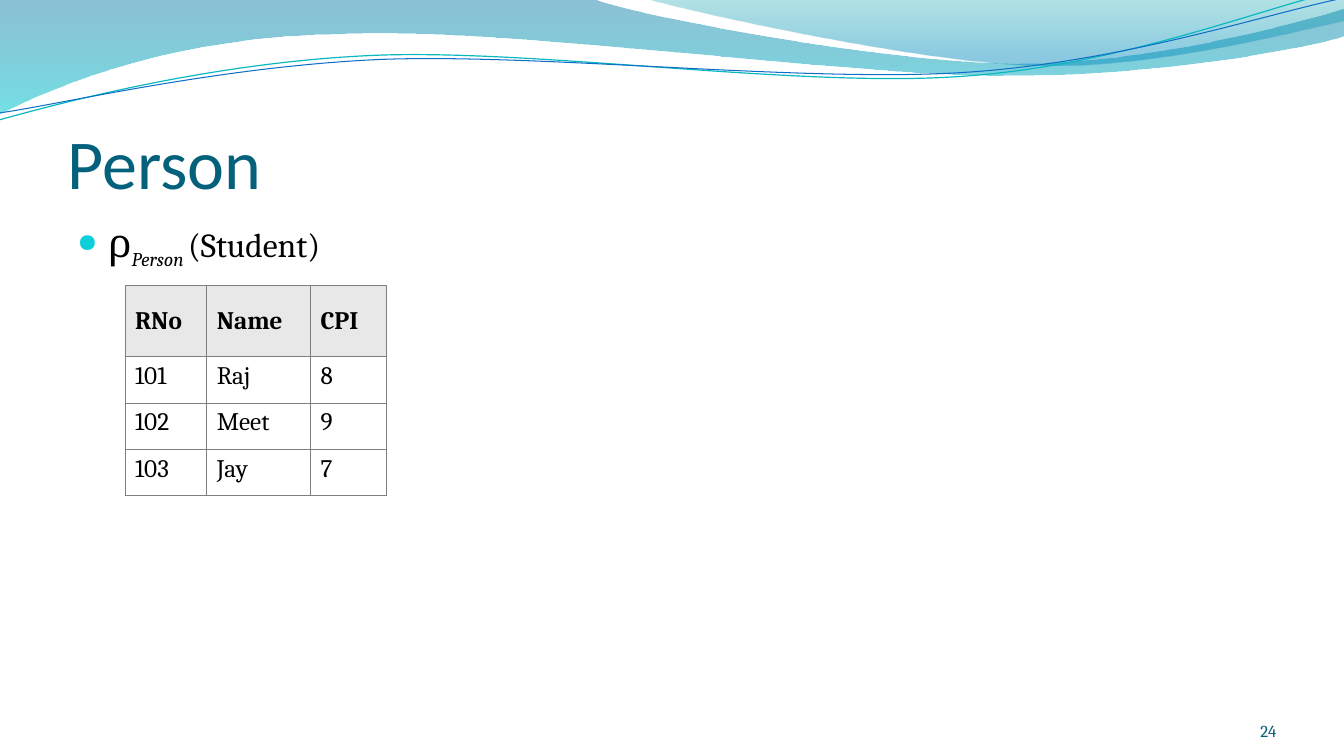
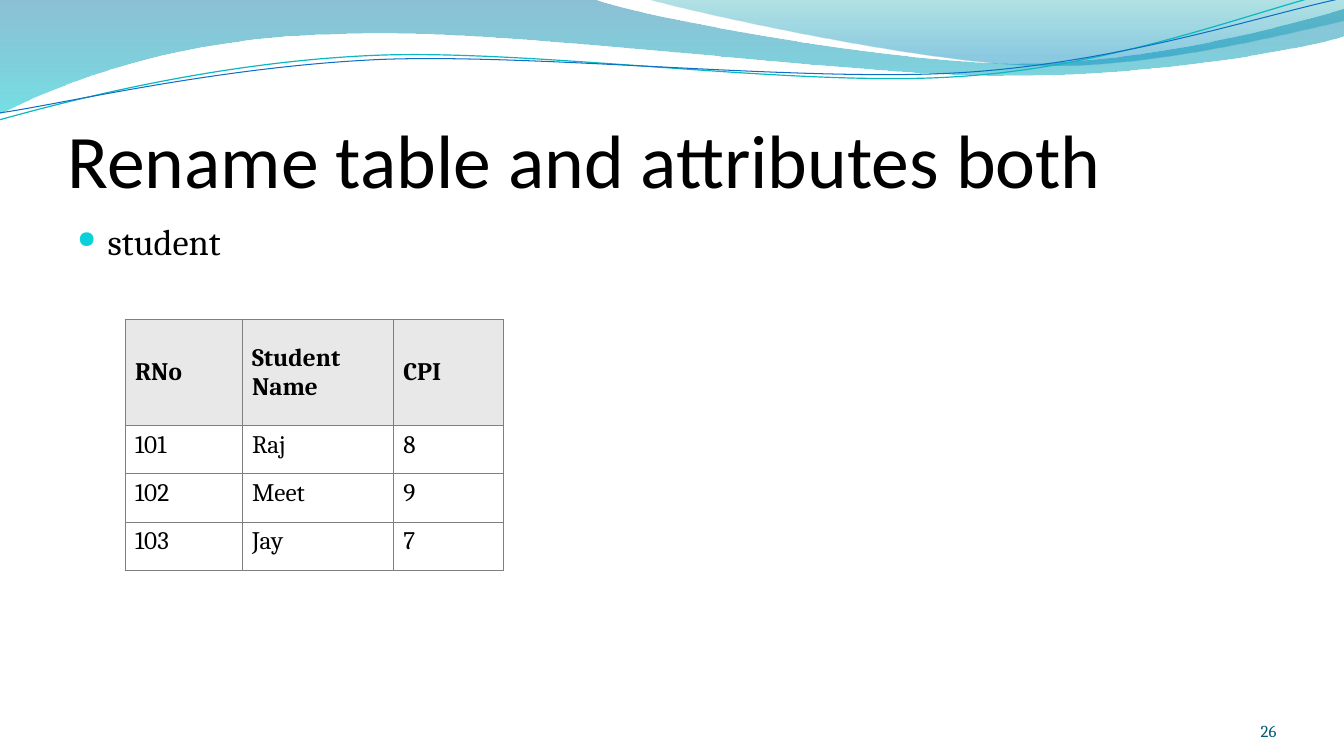
import pptx
import pptx.util
import pptx.dml.color
import pptx.enum.text
import pptx.oxml
import pptx.oxml.ns
from lxml import etree

PX = 9144
HEAD_FONT, BODY_FONT = "Calibri", "Cambria"
ANCHOR = pptx.enum.text.MSO_ANCHOR
ALIGN = pptx.enum.text.PP_ALIGN

COLORS = {
    "text": "000000",
    "title": "04617B",
    "number": "045D75",
    "bullet": "0BD0D9",
    "header": "E8E8E8",
    "cell": "FFFFFF",
    "border": "7F7F7F",
    "teal_line": "0AB8BF",
    "blue_line": "0F6FC6",
    "band_blue": "0074A1",
    "band_cyan": "00C6CF",
    "crest_teal": "00A1A9",
    "crest_blue": "008BBF",
}

BANDS = [
    ((-1, 0),
     [(587, -1), (634, 17, 884, 63, 1011, 63), (1137, 63, 1277, 26, 1333, 9),
      (1334, 36), (1311, 44, 1159, 76, 994, 75), (829, 75, 509, 28, 343, 34),
      (172, 36, 61, 83, -1, 113), (-1, 0)],
     [(0, "band_blue", 45), (1, "band_cyan", 55)]),
    ((639, -1),
     [(679, 11, 909, 62, 1025, 65), (1140, 69, 1282, 32, 1333, 21),
      (1333, 0), (639, -1)],
     [(0, "crest_teal", 30), (0.8, "crest_blue", 45)]),
]

WAVES = [
    ((-1, 119),
     [(64, 101, 211, 62, 369, 55), (527, 48, 789, 87, 950, 76),
      (1110, 66, 1251, 8, 1331, -10)],
     "teal_line", 0.85),
    ((0, 112),
     [(63, 103, 218, 66, 378, 59), (537, 53, 796, 82, 955, 72),
      (1114, 62, 1255, 14, 1333, -2)],
     "blue_line", 0.75),
]

STUDENTS = [("101", "Raj", "8"), ("102", "Meet", "9"), ("103", "Jay", "7")]


def px(n):
    return pptx.util.Emu(round(n * PX))


def rgb(name):
    return pptx.dml.color.RGBColor.from_string(COLORS[name])


def sub(parent, tag, **attrs):
    return etree.SubElement(parent, pptx.oxml.ns.qn(tag), attrs)


def bend_segments(sp, segments):
    lines = iter(sp._element.xpath(".//a:path/a:lnTo"))
    for seg in segments:
        first = next(lines)
        if len(seg) == 6:
            first.tag = pptx.oxml.ns.qn("a:cubicBezTo")
            for _ in range(2):
                line = next(lines)
                first.append(line[0])
                line.getparent().remove(line)


def add_outline(s, start, segments, close):
    points = [(seg[i], seg[i + 1]) for seg in segments for i in range(0, len(seg), 2)]
    builder = s.shapes.build_freeform(*start, scale=float(PX))
    builder.add_line_segments(points, close=close)
    sp = builder.convert_to_shape()
    sp.shadow.inherit = False
    bend_segments(sp, segments)
    return sp


def add_band(s, start, segments, stops):
    sp = add_outline(s, start, segments, True)
    sp.line.fill.background()
    sp.fill.gradient()
    sp.fill.gradient_angle = 270
    for stop, (position, color, _) in zip(sp.fill.gradient_stops, stops):
        stop.position = position
        stop.color.rgb = rgb(color)
    for el, (_, _, alpha) in zip(sp._element.xpath(".//a:gs/a:srgbClr"), stops):
        sub(el, "a:alpha", val=str(alpha * 1000))
    return sp


def add_wave(s, start, segments, color, width):
    sp = add_outline(s, start, segments, False)
    sp.fill.background()
    sp.line.color.rgb = rgb(color)
    sp.line.width = pptx.util.Pt(width)
    return sp


def decorate_layout(s):
    shapes = [add_band(s, *band) for band in BANDS]
    shapes += [add_wave(s, *wave) for wave in WAVES]
    for sp in shapes:
        s.slide_layout.shapes._spTree.append(sp._element)


def add_run(p, text, size, font=BODY_FONT, color="text", bold=False, italic=False, base=0):
    r = p.add_run()
    r.text = text
    r.font.size = pptx.util.Pt(size)
    r.font.name = font
    r.font.color.rgb = rgb(color)
    r.font.bold = bold
    r.font.italic = italic
    if base:
        r.font._element.set("baseline", str(base * 1000))


def add_text(s, box, margins=(0, 0, 0, 0), anchor=ANCHOR.BOTTOM):
    tf = s.shapes.add_textbox(*map(px, box)).text_frame
    tf.word_wrap = True
    tf.vertical_anchor = anchor
    tf.margin_left, tf.margin_top, tf.margin_right, tf.margin_bottom = map(px, margins)
    return tf.paragraphs[0]


def add_title(s, text, size, color):
    p = add_text(s, (67, 77, 1200, 125), (0, 5, 0, 0))
    add_run(p, text, size, HEAD_FONT, color)


def add_bullet(s, runs):
    p = add_text(s, (67, 212, 1200, 480), (10, 5, 10, 5), ANCHOR.TOP)
    pPr = p._p.get_or_add_pPr()
    pPr.set("marL", str(px(30)))
    pPr.set("indent", str(px(-30)))
    sub(sub(pPr, "a:buClr"), "a:srgbClr", val=COLORS["bullet"])
    sub(pPr, "a:buSzPct", val="65000")
    sub(pPr, "a:buChar", char="●")
    for text, size, style in runs:
        add_run(p, text, size, **style)


def add_number(s, number):
    p = add_text(s, (1155, 695, 111, 40))
    p.alignment = ALIGN.RIGHT
    add_run(p, number, 12, color="number")


def set_borders(cell):
    tcPr = cell._tc.get_or_add_tcPr()
    for i, side in enumerate(("a:lnL", "a:lnR", "a:lnT", "a:lnB")):
        ln = etree.Element(pptx.oxml.ns.qn(side), w=str(pptx.util.Pt(0.75)))
        sub(sub(ln, "a:solidFill"), "a:srgbClr", val=COLORS["border"])
        tcPr.insert(i, ln)


def add_grid(s, top, header, widths, head_height, row_height):
    rows = [header] + STUDENTS
    heights = [head_height] + [row_height] * len(STUDENTS)
    frame = s.shapes.add_table(len(rows), len(header), px(124), px(top),
                               px(sum(widths)), px(sum(heights)))
    table = frame.table
    table.first_row = table.horz_banding = False
    for col, width in zip(table.columns, widths):
        col.width = px(width)
    for i, (values, height) in enumerate(zip(rows, heights)):
        is_head = i == 0
        table.rows[i].height = px(height)
        for j, value in enumerate(values):
            cell = table.cell(i, j)
            cell.fill.solid()
            cell.fill.fore_color.rgb = rgb("header" if is_head else "cell")
            cell.vertical_anchor = ANCHOR.MIDDLE if is_head else ANCHOR.TOP
            set_borders(cell)
            add_run(cell.text_frame.paragraphs[0], value, 18, bold=is_head)


def add_slide(prs, title, title_size, title_color, bullet, number):
    s = prs.slides.add_slide(prs.slide_layouts[6])
    add_title(s, title, title_size, title_color)
    add_bullet(s, bullet)
    add_number(s, number)
    return s


def main():
    prs = pptx.Presentation()
    prs.slide_width, prs.slide_height = px(1333), px(750)

    s = add_slide(prs, "Person", 50, "title",
                  [("ρ", 28, {}),
                   ("Person ", 24, {"italic": True, "base": -25}),
                   ("(Student)", 24, {})], "24")
    decorate_layout(s)
    add_grid(s, 283, ("RNo", "Name", "CPI"), (81, 103, 75), 71, 46)

    s = add_slide(prs, "Rename table and attributes both", 54, "text",
                  [("student", 26, {})], "26")
    add_grid(s, 317, ("RNo", "Student Name", "CPI"), (116, 150, 109), 105, 48)

    prs.save("out.pptx")


if __name__ == "__main__":
    main()
